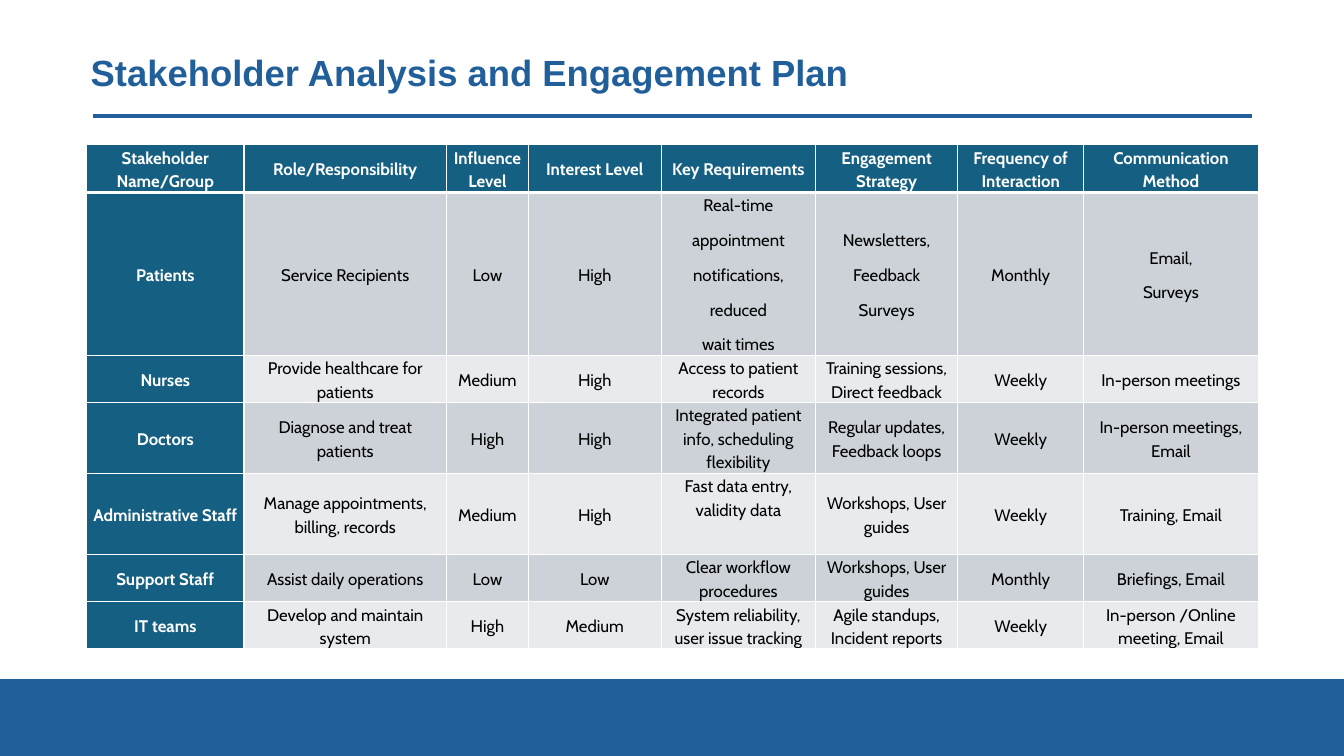
from lxml import etree
from pptx import Presentation
from pptx.dml.color import RGBColor
from pptx.enum.shapes import MSO_CONNECTOR, MSO_SHAPE
from pptx.enum.text import MSO_ANCHOR, MSO_AUTO_SIZE, PP_ALIGN
from pptx.oxml.ns import qn
from pptx.util import Inches, Pt

RECTANGLE = MSO_SHAPE.RECTANGLE
STRAIGHT = MSO_CONNECTOR.STRAIGHT
MIDDLE = MSO_ANCHOR.MIDDLE
CENTER, LEFT = PP_ALIGN.CENTER, PP_ALIGN.LEFT
NO_AUTOFIT = MSO_AUTO_SIZE.NONE
TITLE_ONLY = 5

BLUE = RGBColor(0x21, 0x5F, 0x9A)
TEAL = RGBColor(0x15, 0x60, 0x82)
DARK_BAND = RGBColor(0xCC, 0xD2, 0xD8)
LIGHT_BAND = RGBColor(0xE8, 0xEA, 0xED)
WHITE = RGBColor(0xFF, 0xFF, 0xFF)
BLACK = RGBColor(0, 0, 0)

WIDTH, HEIGHT = Inches(13.33), Inches(7.5)
FOOTER_SHARE = 0.1
TABLE_LEFT, TABLE_TOP = Inches(0.86), Inches(1.43)
COLUMN_WIDTHS = [1.56, 2.01, 0.81, 1.32, 1.53, 1.41, 1.25, 1.73]
ROW_HEIGHTS = [0.48, 1.46, 0.41, 0.63, 0.73, 0.41, 0.41]

# A line break inside a cell starts a new paragraph
STAKEHOLDERS = [
    ["Stakeholder Name/Group", "Role/Responsibility", "Influence Level", "Interest Level",
     "Key Requirements", "Engagement Strategy", "Frequency of Interaction",
     "Communication Method"],
    ["Patients", "Service Recipients", "Low", "High",
     "Real-time\nappointment\nnotifications,\nreduced\nwait times",
     "Newsletters,\nFeedback\nSurveys", "Monthly", "Email,\nSurveys"],
    ["Nurses", "Provide healthcare for patients", "Medium", "High",
     "Access to patient records", "Training sessions, Direct feedback", "Weekly",
     "In-person meetings"],
    ["Doctors", "Diagnose and treat patients", "High", "High",
     "Integrated patient info, scheduling flexibility",
     "Regular updates, Feedback loops", "Weekly", "In-person meetings, Email"],
    ["Administrative Staff", "Manage appointments, billing, records", "Medium", "High",
     "Fast data entry, validity data", "Workshops, User guides", "Weekly",
     "Training, Email"],
    ["Support Staff", "Assist daily operations", "Low", "Low",
     "Clear workflow procedures", "Workshops, User guides", "Monthly",
     "Briefings, Email"],
    ["IT teams", "Develop and maintain system", "High", "Medium",
     "System reliability, user issue tracking", "Agile standups, Incident reports",
     "Weekly", "In-person /Online meeting, Email"],
]
RAISED_CELL = (4, 4)  # the data entry requirement sits at the top of its row


def add_span(para, text, font_name, size, color, bold):
    span = para.add_run()
    span.text = text
    span.font.name = font_name
    span.font.size = Pt(size)
    span.font.color.rgb = color
    span.font.bold = bold


def add_footer_band(page):
    band_height = int(HEIGHT * FOOTER_SHARE)
    band = page.shapes.add_shape(RECTANGLE, 0, HEIGHT - band_height, WIDTH, band_height)
    band.shadow.inherit = False
    band.fill.solid()
    band.fill.fore_color.rgb = BLUE
    band.line.color.rgb = BLUE
    band.line.width = Pt(1.5)


def add_title_rule(page):
    rule = page.shapes.add_connector(
        STRAIGHT, Inches(0.92), Inches(1.15), Inches(12.42), Inches(1.15))
    rule.line.color.rgb = BLUE
    rule.line.width = Pt(3)
    etree.SubElement(rule._element.spPr, qn("a:effectLst"))


def fill_title(page, text):
    title = page.shapes.title
    title.left, title.top = Inches(0.8), Inches(0.37)
    title.width, title.height = Inches(11.5), Inches(0.75)
    frame = title.text_frame
    frame.word_wrap = True
    frame.auto_size = NO_AUTOFIT
    frame.vertical_anchor = MIDDLE
    para = frame.paragraphs[0]
    para.alignment = LEFT
    para.line_spacing = 0.9
    add_span(para, text, "Arial", 26, BLUE, True)


def set_borders(cell, bottom_points):
    properties = cell._tc.get_or_add_tcPr()
    sides = [("a:lnL", 1), ("a:lnR", 1), ("a:lnT", 1), ("a:lnB", bottom_points)]
    for position, (tag, points) in enumerate(sides):
        border = etree.Element(qn(tag), w=str(Pt(points)))
        solid = etree.SubElement(border, qn("a:solidFill"))
        etree.SubElement(solid, qn("a:srgbClr"), val=str(WHITE))
        properties.insert(position, border)


def fill_cell(cell, text, fill, color, bold, bottom_points):
    cell.fill.solid()
    cell.fill.fore_color.rgb = fill
    set_borders(cell, bottom_points)
    cell.vertical_anchor = MIDDLE
    cell.margin_left = cell.margin_right = Inches(0.06)
    cell.margin_top = cell.margin_bottom = 0
    frame = cell.text_frame
    for index, line in enumerate(text.split("\n")):
        para = frame.add_paragraph() if index else frame.paragraphs[0]
        para.alignment = CENTER
        para.line_spacing = 1.15
        para.space_after = Pt(8)
        add_span(para, line, "Cabin", 12, color, bold)


def add_stakeholder_table(page):
    table = page.shapes.add_table(
        len(ROW_HEIGHTS), len(COLUMN_WIDTHS), TABLE_LEFT, TABLE_TOP,
        Inches(sum(COLUMN_WIDTHS)), Inches(sum(ROW_HEIGHTS))).table
    for column, width in zip(table.columns, COLUMN_WIDTHS):
        column.width = Inches(width)
    for row, height in zip(table.rows, ROW_HEIGHTS):
        row.height = Inches(height)
    table.first_col = True

    for row_index, texts in enumerate(STAKEHOLDERS):
        band_fill = DARK_BAND if row_index % 2 else LIGHT_BAND
        # The header rule is thick on both cells that share it
        bottom_points = 1 if row_index else 3
        for column_index, text in enumerate(texts):
            heading = row_index == 0 or column_index == 0
            fill_cell(table.cell(row_index, column_index), text,
                      TEAL if heading else band_fill,
                      WHITE if heading else BLACK, heading, bottom_points)
            if row_index == 1:
                top = table.cell(1, column_index)._tc.tcPr.find(qn("a:lnT"))
                top.set("w", str(Pt(3)))
    table.cell(*RAISED_CELL).margin_bottom = Inches(0.34)


def main():
    deck = Presentation()
    deck.slide_width, deck.slide_height = WIDTH, HEIGHT
    page = deck.slides.add_slide(deck.slide_layouts[TITLE_ONLY])

    # Frame of the page
    add_footer_band(page)
    add_title_rule(page)

    # Content
    fill_title(page, "Stakeholder Analysis and Engagement Plan")
    add_stakeholder_table(page)

    deck.save("out.pptx")


if __name__ == "__main__":
    main()
